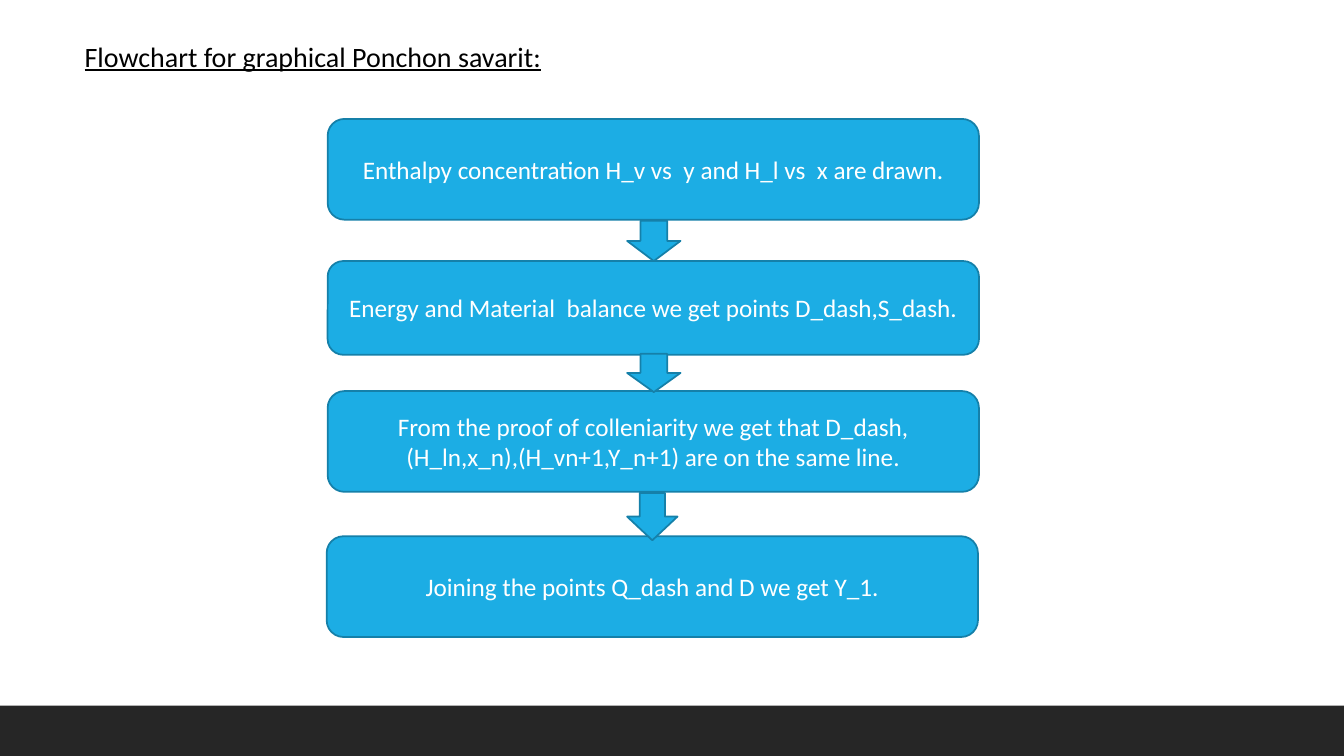
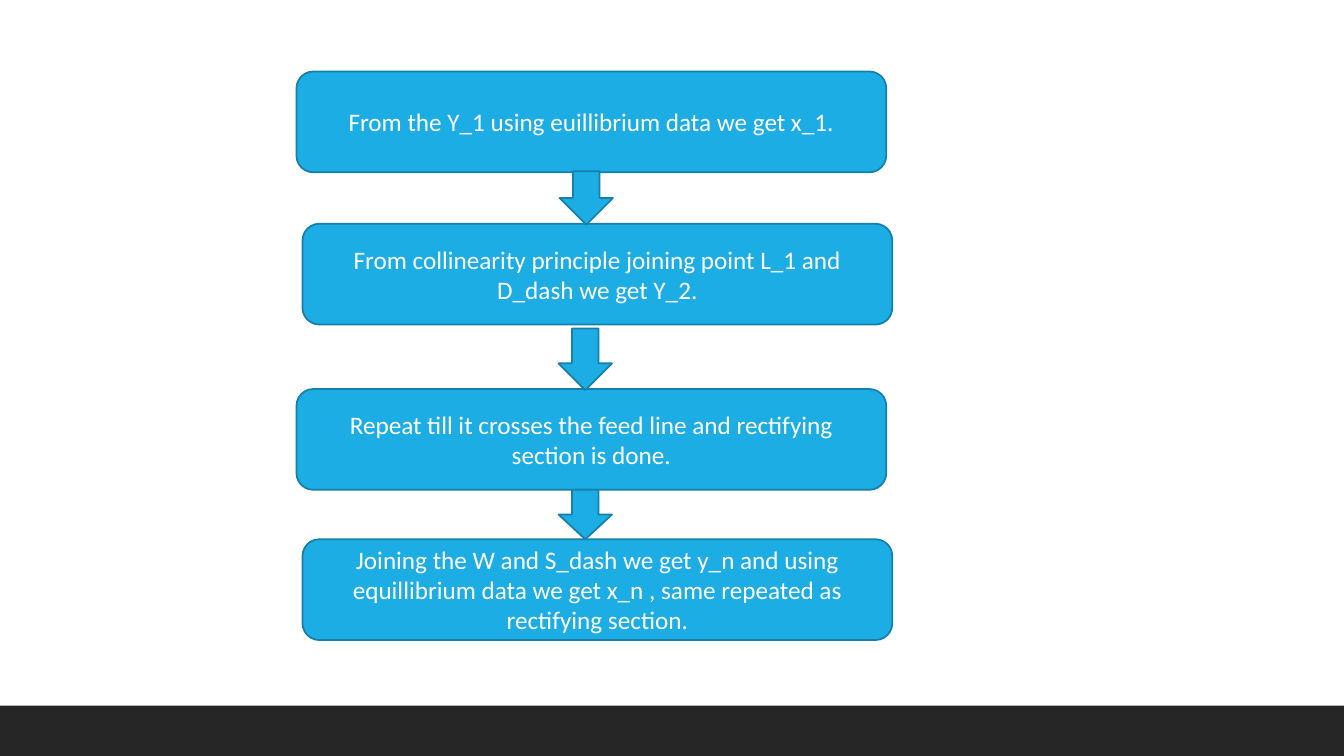
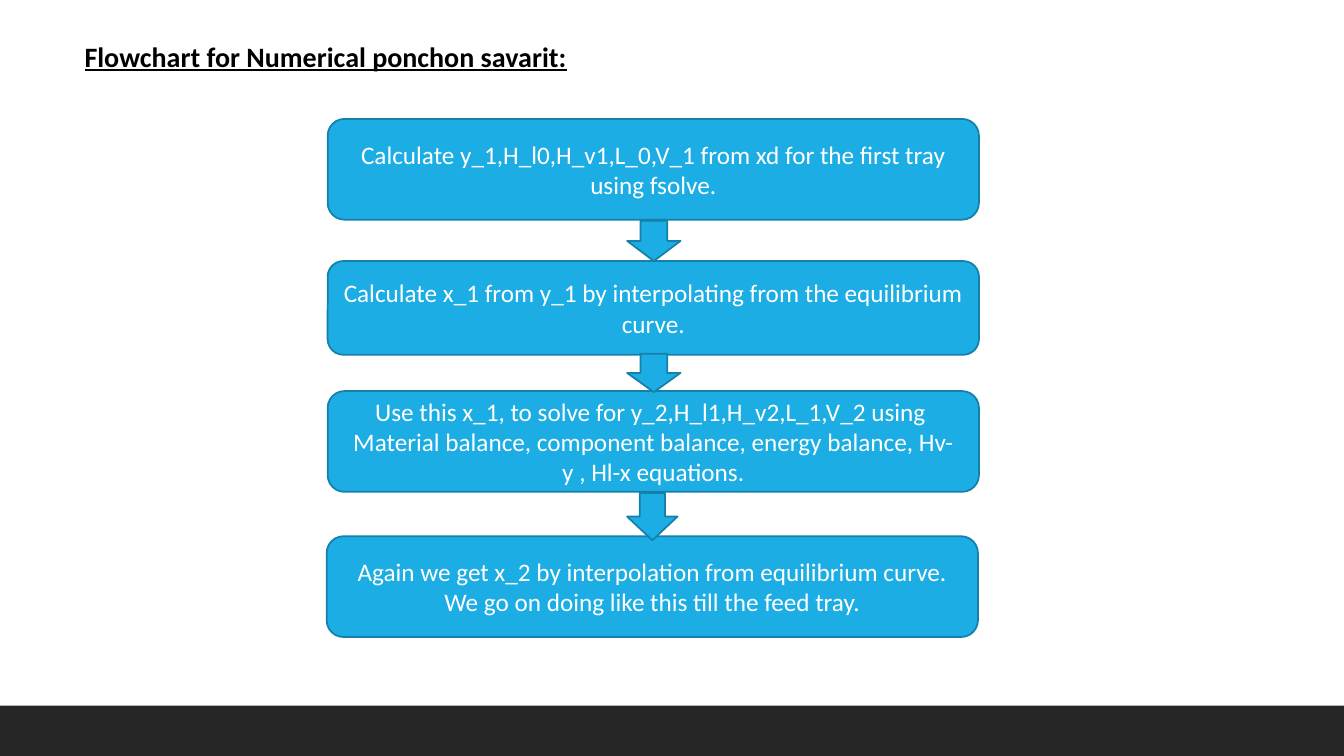
from pptx import Presentation
from pptx.dml.color import RGBColor
from pptx.enum.shapes import MSO_SHAPE as SHAPE
from pptx.enum.text import MSO_ANCHOR as ANCHOR, MSO_AUTO_SIZE as AUTO, PP_ALIGN as ALIGN
from pptx.util import Inches, Pt


def rgb(value):
    return RGBColor.from_string(value)


class Deck:
    FONT = "Calibri"
    BLUE, EDGE, BAND = "1CADE4", "1580A9", "262626"
    WHITE, BLACK = "FFFFFF", "000000"
    WIDTH, HEIGHT, BAND_H = 13.33, 7.5, 0.5

    def __init__(self):
        self.prs = Presentation()
        self.prs.slide_width = Inches(self.WIDTH)
        self.prs.slide_height = Inches(self.HEIGHT)
        self.s = None

    def slide(self):
        """Start a slide with the dark band at its foot."""
        self.s = self.prs.slides.add_slide(self.prs.slide_layouts[6])
        self.shape(SHAPE.RECTANGLE, 0, self.HEIGHT - self.BAND_H,
                   self.WIDTH, self.BAND_H, self.BAND)

    def shape(self, kind, left, top, width, height, fill, line=None):
        sp = self.s.shapes.add_shape(kind, *map(Inches, (left, top, width, height)))
        sp.shadow.inherit = False
        sp.fill.solid()
        sp.fill.fore_color.rgb = rgb(fill)
        if line:
            sp.line.color.rgb = rgb(line)
            sp.line.width = Pt(1.25)
        else:
            sp.line.fill.background()
        return sp

    def run(self, p, text, size, color):
        r = p.add_run()
        r.text = text
        r.font.name = self.FONT
        r.font.size = Pt(size)
        r.font.color.rgb = rgb(color)
        return r

    def title(self, text, bold=False):
        sp = self.s.shapes.add_textbox(*map(Inches, (0.74, 0.34, 6.16, 0.44)))
        tf = sp.text_frame
        tf.word_wrap = True
        tf.auto_size = AUTO.SHAPE_TO_FIT_TEXT
        r = self.run(tf.paragraphs[0], text, 20, self.BLACK)
        r.font.underline = True
        r.font.bold = bold

    def step(self, place, lines):
        sp = self.shape(SHAPE.ROUNDED_RECTANGLE, *place, self.BLUE, self.EDGE)
        tf = sp.text_frame
        tf.word_wrap = True
        tf.vertical_anchor = ANCHOR.MIDDLE
        for i, line in enumerate(lines):
            p = tf.add_paragraph() if i else tf.paragraphs[0]
            p.alignment = ALIGN.CENTER
            self.run(p, line, 18, self.WHITE)

    def arrow(self, place):
        self.shape(SHAPE.DOWN_ARROW, *place, self.BLUE, self.EDGE)

    def flowchart(self, layout, steps):
        boxes, arrows = layout
        for place, lines in zip(boxes, steps):
            self.step(place, lines)
        for place in arrows:
            self.arrow(place)


# Flowchart layouts: step boxes, then arrows, as left, top, width, height
WIDE = (
    [(3.25, 1.18, 6.46, 1), (3.25, 2.59, 6.46, 0.93),
     (3.25, 3.88, 6.46, 1), (3.24, 5.32, 6.46, 1)],
    [(6.22, 2.19, 0.53, 0.4), (6.22, 3.51, 0.53, 0.38), (6.22, 4.89, 0.5, 0.47)],
)
NARROW = (
    [(left, top, 5.85, 1) for left, top in
     [(2.94, 0.71), (3, 2.22), (2.94, 3.86), (3, 5.35)]],
    [(5.55, 1.7, 0.53, 0.53), (5.54, 3.26, 0.53, 0.61), (5.54, 4.86, 0.53, 0.49)],
)

# Each slide: title, bold title, layout, and the lines of each step
SLIDES = [
    ("Flowchart for graphical Ponchon savarit:", False, WIDE, [
        ["Enthalpy concentration H_v vs  y and H_l vs  x are drawn."],
        ["Energy and Material  balance we get points D_dash,S_dash."],
        ["From the proof of colleniarity we get that D_dash,"
         "(H_ln,x_n),(H_vn+1,Y_n+1) are on the same line."],
        ["Joining the points Q_dash and D we get Y_1."],
    ]),
    (None, False, NARROW, [
        ["From the Y_1 using euillibrium data we get x_1."],
        ["From collinearity principle joining point L_1 and D_dash we get Y_2."],
        ["Repeat till it crosses the feed line and rectifying section is done."],
        ["Joining the W and S_dash we get y_n and using equillibrium data "
         "we get x_n , same repeated as rectifying section."],
    ]),
    ("Flowchart for Numerical ponchon savarit:", True, WIDE, [
        ["Calculate y_1,H_l0,H_v1,L_0,V_1 from xd for the first tray using fsolve."],
        ["Calculate x_1 from y_1 by interpolating from the equilibrium curve."],
        ["Use this x_1, to solve for y_2,H_l1,H_v2,L_1,V_2 using ",
         "Material balance, component balance, energy balance, Hv-y , Hl-x equations."],
        ["Again we get x_2 by interpolation from equilibrium curve. "
         "We go on doing like this till the feed tray."],
    ]),
]


def main():
    deck = Deck()
    for title, bold, layout, steps in SLIDES:
        deck.slide()
        if title:
            deck.title(title, bold)
        deck.flowchart(layout, steps)
    deck.prs.save("out.pptx")


if __name__ == "__main__":
    main()
